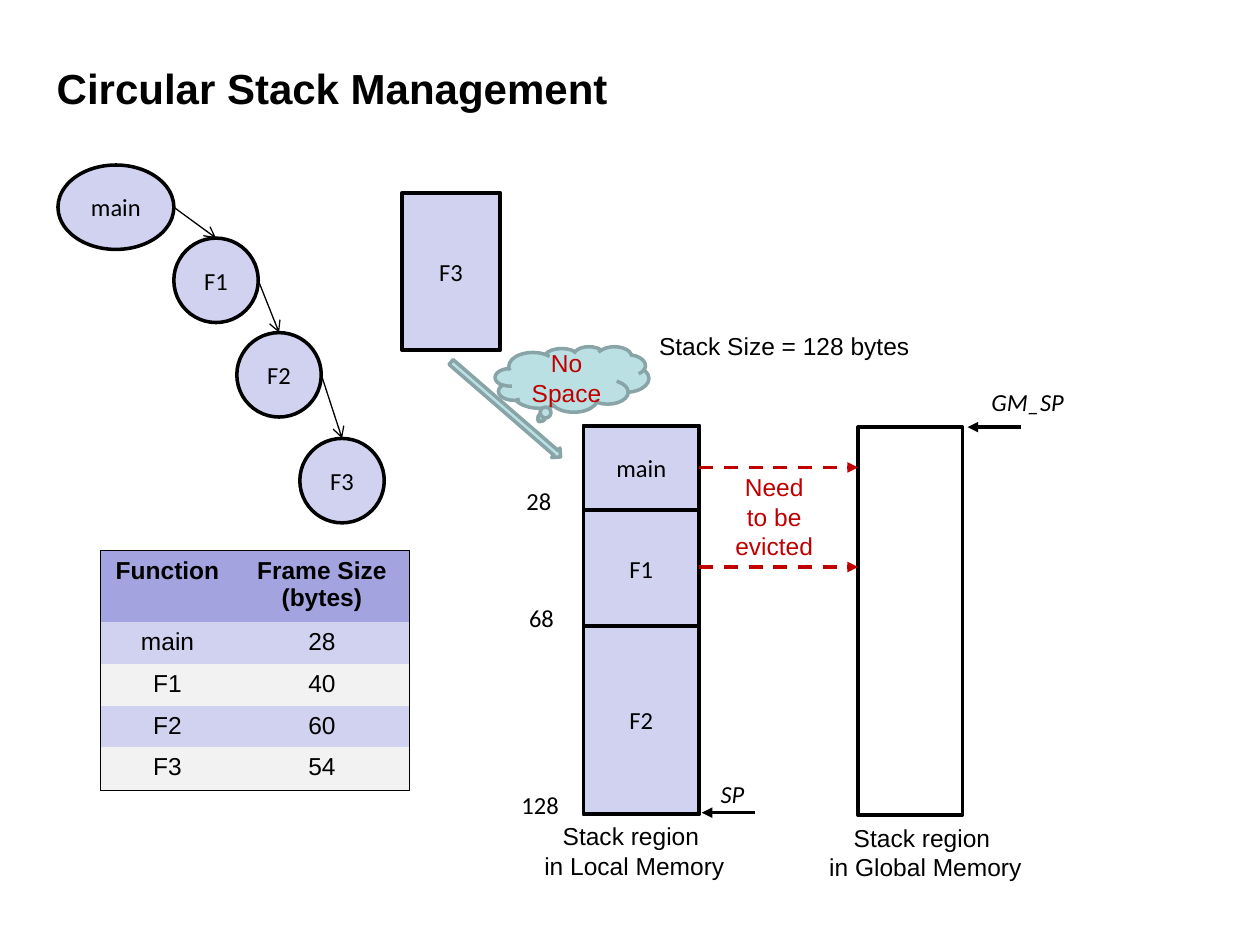
from dataclasses import dataclass

from lxml import etree
from pptx import Presentation
from pptx import util as u
from pptx.dml.color import RGBColor
from pptx.enum import dml, shapes, text
from pptx.oxml import parse_xml
from pptx.oxml.ns import nsdecls, qn


@dataclass(frozen=True)
class Theme:
    heading_font: str = "Arial"
    label_font: str = "Calibri"
    title_size: float = 24
    body_size: float = 14
    ink: str = "000000"
    alert: str = "C00000"
    frame: str = "D1D1F0"
    header: str = "A3A3E0"
    band: str = "F2F2F2"
    cloud: str = "BBE0E3"
    cloud_edge: str = "89A4A7"
    heavy: float = 2
    thin: float = 0.75
    hairline: float = 0.45


def rgb(value):
    return RGBColor.from_string(value)


def write(frame, content, *, font, size, color, bold=False, italic=False,
          align=text.PP_ALIGN.CENTER, anchor=text.MSO_ANCHOR.TOP, wrap=True):
    frame.word_wrap = wrap
    frame.vertical_anchor = anchor
    frame.text = content
    for paragraph in frame.paragraphs:
        paragraph.alignment = align
        paragraph.font.name = font
        paragraph.font.size = u.Pt(size)
        paragraph.font.bold = bold
        paragraph.font.italic = italic
        paragraph.font.color.rgb = rgb(color)


class Diagram:
    def __init__(self, slide, theme):
        self.slide = slide
        self.theme = theme

    def title(self, content, left, top, width, height):
        heading = self.slide.shapes.title
        heading.left, heading.top = u.Inches(left), u.Inches(top)
        heading.width, heading.height = u.Inches(width), u.Inches(height)
        write(heading.text_frame, content, font=self.theme.heading_font,
              size=self.theme.title_size, color=self.theme.ink, bold=True,
              align=text.PP_ALIGN.LEFT, anchor=text.MSO_ANCHOR.MIDDLE)

    def block(self, kind, left, top, width, height, content="", fill=None,
              edge=None, font=None, color=None):
        block = self.slide.shapes.add_shape(
            kind, u.Inches(left), u.Inches(top), u.Inches(width), u.Inches(height))
        block.shadow.inherit = False
        if fill:
            block.fill.solid()
            block.fill.fore_color.rgb = rgb(fill)
        else:
            block.fill.background()
        block.line.color.rgb = rgb(edge or self.theme.ink)
        block.line.width = u.Pt(self.theme.heavy)
        if content:
            write(block.text_frame, content, font=font or self.theme.label_font,
                  size=self.theme.body_size, color=color or self.theme.ink,
                  anchor=text.MSO_ANCHOR.MIDDLE)
        return block

    def label(self, content, left, top, width, height, canvas=None, **style):
        box = (canvas or self.slide.shapes).add_textbox(
            u.Inches(left), u.Inches(top), u.Inches(width), u.Inches(height))
        style = {"font": self.theme.heading_font, "color": self.theme.ink, **style}
        write(box.text_frame, content, size=self.theme.body_size, **style)
        box.text_frame.auto_size = text.MSO_AUTO_SIZE.SHAPE_TO_FIT_TEXT

    def arrow(self, start, end, canvas=None, color=None, width=None,
              head="triangle", at="tailEnd", dashed=False):
        arrow = (canvas or self.slide.shapes).add_connector(
            shapes.MSO_CONNECTOR.STRAIGHT, *map(u.Inches, (*start, *end)))
        arrow.line.color.rgb = rgb(color or self.theme.ink)
        arrow.line.width = u.Pt(width or self.theme.heavy)
        if dashed:
            arrow.line.dash_style = dml.MSO_LINE.DASH
        properties = arrow.element.spPr
        etree.SubElement(properties.find(qn("a:ln")), qn(f"a:{at}"), type=head)
        etree.SubElement(properties, qn("a:effectLst"))

    def pointer(self, content, tip, label_box):
        canvas = self.slide.shapes.add_group_shape().shapes
        self.arrow(tip, (tip[0] + 0.42, tip[1]), canvas=canvas, at="headEnd")
        self.label(content, *label_box, canvas=canvas, italic=True,
                   font=self.theme.label_font, align=text.PP_ALIGN.LEFT)

    def border(self, cell, side):
        width = u.Pt(self.theme.hairline)
        cell._tc.get_or_add_tcPr().append(parse_xml(
            f'<a:{side} {nsdecls("a")} w="{width}"><a:solidFill>'
            f'<a:srgbClr val="{self.theme.ink}"/></a:solidFill></a:{side}>'))

    def table(self, rows, left, top, widths, heights):
        table = self.slide.shapes.add_table(
            len(rows), len(widths), u.Inches(left), u.Inches(top),
            u.Inches(sum(widths)), u.Inches(sum(heights))).table
        table.first_row = table.horz_banding = False
        table._tbl.tblPr.find(qn("a:tableStyleId")).text = (
            "{2D5ABB26-0587-4C30-8999-92F81FD0307C}")
        for column, width in zip(table.columns, widths):
            column.width = u.Inches(width)
        for r, (values, height) in enumerate(zip(rows, heights)):
            table.rows[r].height = u.Inches(height)
            band = self.theme.frame if r % 2 else self.theme.band
            for c, value in enumerate(values):
                cell = table.cell(r, c)
                outer = {"lnL": c == 0, "lnR": c == len(widths) - 1,
                         "lnT": r == 0, "lnB": r == len(rows) - 1}
                for side in (name for name, shown in outer.items() if shown):
                    self.border(cell, side)
                cell.fill.solid()
                cell.fill.fore_color.rgb = rgb(band if r else self.theme.header)
                write(cell.text_frame, value, font=self.theme.heading_font,
                      size=self.theme.body_size, color=self.theme.ink, bold=r == 0)


def main():
    deck = Presentation()
    deck.slide_width, deck.slide_height = u.Inches(10), u.Inches(7.5)
    theme = Theme()
    diagram = Diagram(deck.slides.add_slide(deck.slide_layouts[5]), theme)
    kinds = shapes.MSO_SHAPE

    diagram.title("Circular Stack Management", 0.35, 0.46, 4.62, 0.47)
    frame_sizes = [("Function", "Frame Size (bytes)"), ("main", "28"),
                   ("F1", "40"), ("F2", "60"), ("F3", "54")]
    diagram.table(frame_sizes, 0.8, 4.37, (1.06, 1.39), (0.57, 0.33, 0.33, 0.33, 0.34))

    calls = [("main", 0.46, 1.31, 0.92), ("F1", 1.38, 1.89, 0.67),
             ("F2", 1.88, 2.64, 0.67), ("F3", 2.38, 3.48, 0.67)]
    call_height = 0.67
    for name, left, top, width in calls:
        diagram.block(kinds.OVAL, left, top, width, call_height, name, theme.frame)
    for (_, left, top, width), (_, next_left, next_top, next_width) in zip(calls, calls[1:]):
        diagram.arrow((left + width, top + call_height / 2),
                      (next_left + next_width / 2, next_top),
                      width=theme.thin, head="arrow")

    local_left, local_width, stack_top, stack_height = 4.63, 0.92, 3.38, 3.08
    diagram.block(kinds.RECTANGLE, local_left, stack_top, local_width, stack_height)
    frame_top = stack_top
    for name, height in (("main", 0.67), ("F1", 0.92), ("F2", 1.49)):
        diagram.block(kinds.RECTANGLE, local_left, frame_top, local_width, height,
                      name, theme.frame)
        frame_top += height
    global_left = 6.81
    diagram.block(kinds.RECTANGLE, global_left, 3.39, 0.83, stack_height)
    diagram.block(kinds.RECTANGLE, 3.19, 1.53, 0.78, 1.25, "F3", theme.frame)

    for offset, left, top in (("28", 4.08, 3.81), ("68", 4.1, 4.74), ("128", 4.04, 6.22)):
        diagram.label(offset, left, top, 0.55, 0.34, font=theme.label_font,
                      align=text.PP_ALIGN.LEFT)
    diagram.label("Stack Size = 128 bytes", 5.13, 2.58, 2.19, 0.34, wrap=False)
    diagram.label("Stack region \nin Local Memory", 4.22, 6.47, 1.63, 0.57, wrap=False)
    diagram.label("Stack region \nin Global Memory", 6.48, 6.48, 1.73, 0.57, wrap=False)
    diagram.pointer("SP", (5.57, 6.45), (5.62, 6.13, 0.45, 0.34))
    diagram.pointer("GM_SP", (7.68, 3.39), (7.77, 3.02, 0.9, 0.34))

    for level in (3.71, 4.5):
        diagram.arrow((local_left + local_width, level), (global_left, level),
                      color=theme.alert, dashed=True)
    push = diagram.block(kinds.RIGHT_ARROW, 3.44, 3.2, 1.15, 0.1,
                         fill=theme.cloud, edge=theme.cloud_edge)
    push.rotation = 40.9
    refusal = diagram.block(kinds.CLOUD_CALLOUT, 3.93, 2.75, 1.22, 0.52, "No Space",
                            theme.cloud, theme.cloud_edge, theme.heading_font, theme.alert)
    refusal.adjustments[0], refusal.adjustments[1] = -0.21, 0.62
    diagram.label("Need to be evicted", 5.71, 3.7, 0.87, 0.8, color=theme.alert)

    deck.save("out.pptx")


if __name__ == "__main__":
    main()
